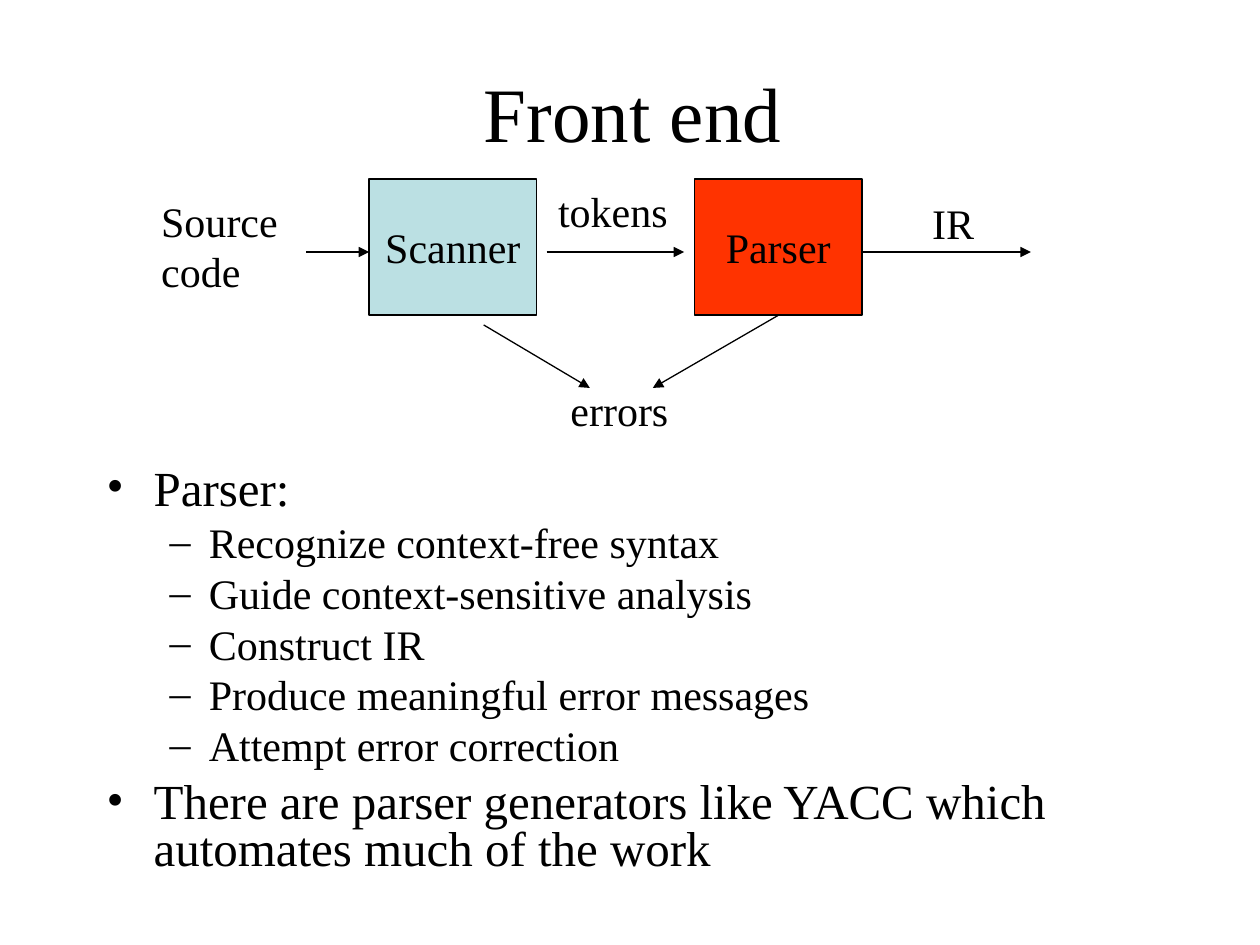
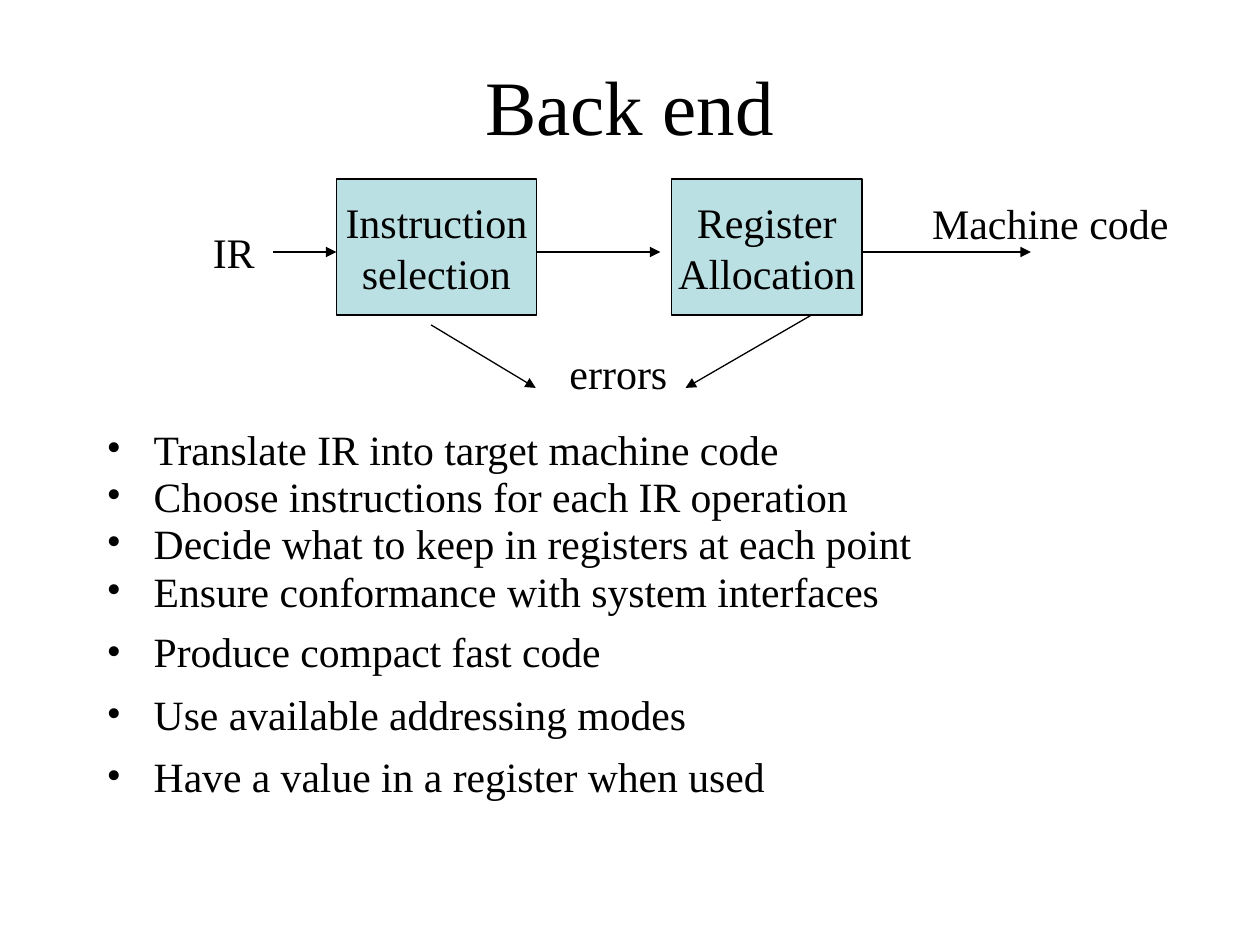
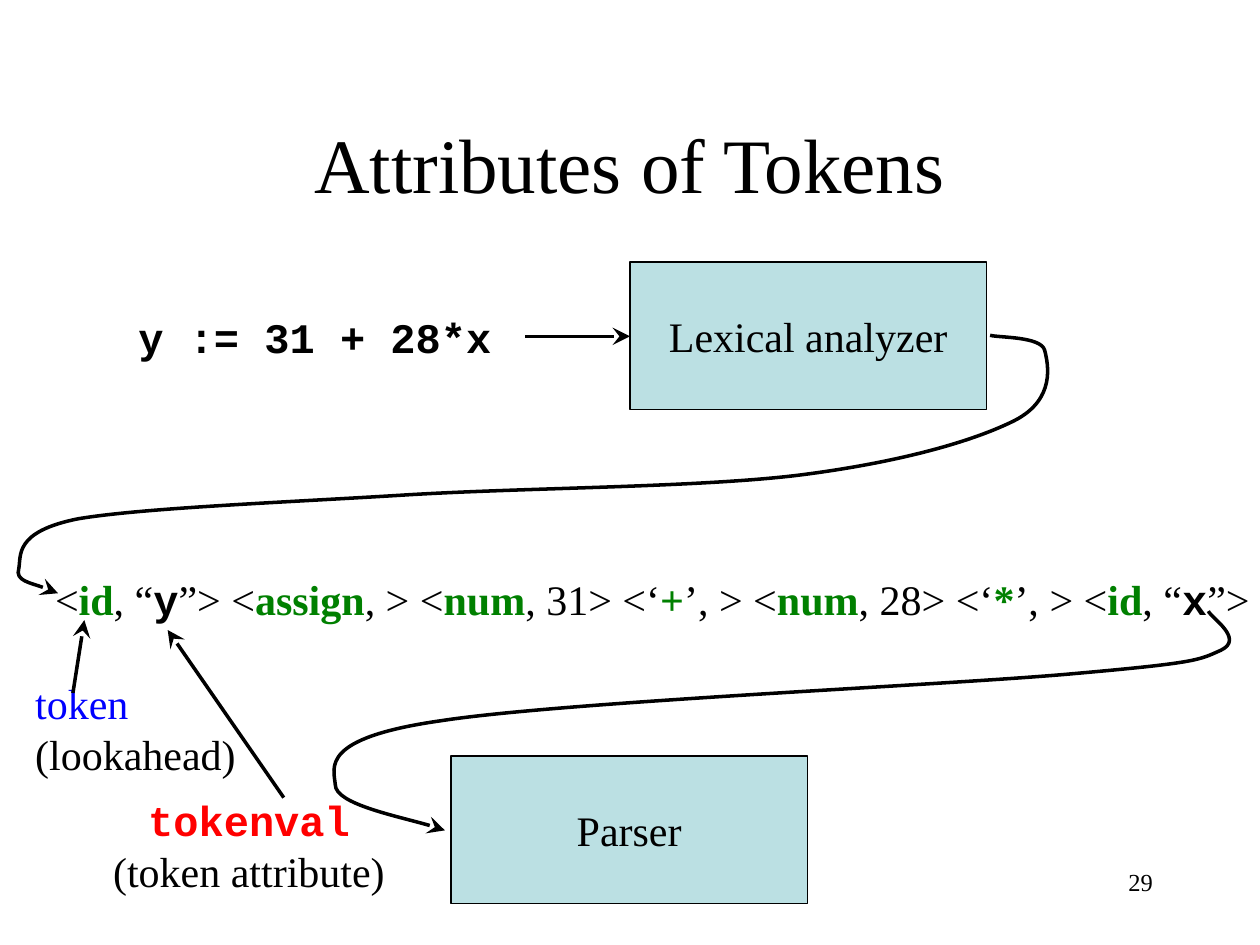
from dataclasses import dataclass

from lxml import etree
from pptx import Presentation
from pptx import util as u
from pptx.dml.color import RGBColor
from pptx.enum import shapes, text
from pptx.oxml.ns import qn

Cm, Pt = u.Cm, u.Pt


@dataclass(frozen=True)
class Theme:
    serif: str = "Times New Roman"
    mono: str = "Courier New"
    ink: str = "000000"
    stage: str = "BBE0E3"
    stage_hot: str = "FF3300"
    token: str = "008000"
    lookahead: str = "0000FF"
    tokenval: str = "FF0000"
    title_size: float = 44
    heading_size: float = 28
    label_size: float = 24
    list_size: float = 23.8
    number_size: float = 14
    thin: float = 0.75
    thick: float = 2


THEME = Theme()

# Shared rows of the two pipeline slides, in centimetres
STAGE_TOP, STAGE_HEIGHT = 3.61, 2.74
STAGE_BOTTOM = STAGE_TOP + STAGE_HEIGHT
FLOW_Y = 5.08
ERROR_START_Y, ERROR_END_Y = 6.55, 7.82
OUTPUT_LEFT, OUTPUT_TOP = 18.54, 3.86
STAGES_RIGHT, FLOW_END = 17.37, 20.78
LINE_HEIGHT, TWO_LINES = 1.27, 2.29
IR_WIDTH, ERRORS_WIDTH = 1.5, 2.6


# Text
def style_span(span, size=THEME.label_size, font=THEME.serif, color=THEME.ink, bold=False):
    span.font.size = Pt(size)
    span.font.name = font
    span.font.bold = bold
    span.font.color.rgb = RGBColor.from_string(color)


def fill_text(frame, words, align=text.PP_ALIGN.LEFT, **style):
    frame.text = words
    for para in frame.paragraphs:
        para.alignment = align
        for span in para.runs:
            style_span(span, **style)


def add_label(page, words, left, top, width, height=LINE_HEIGHT, **style):
    box = page.shapes.add_textbox(Cm(left), Cm(top), Cm(width), Cm(height))
    box.text_frame.word_wrap = False
    box.text_frame.auto_size = text.MSO_AUTO_SIZE.SHAPE_TO_FIT_TEXT
    fill_text(box.text_frame, words, **style)
    return box


def add_title(page, words, top, left=1.9):
    box = page.shapes.add_textbox(Cm(left), Cm(top), Cm(21.59), Cm(3.18))
    box.text_frame.word_wrap = True
    box.text_frame.vertical_anchor = text.MSO_ANCHOR.MIDDLE
    fill_text(box.text_frame, words, text.PP_ALIGN.CENTER, size=THEME.title_size)


def add_page_number(page, number):
    box = page.shapes.add_textbox(Cm(18.21), Cm(17.35), Cm(5.28), Cm(LINE_HEIGHT))
    box.text_frame.word_wrap = True
    fill_text(box.text_frame, number, text.PP_ALIGN.RIGHT, size=THEME.number_size)


def set_bullet(para, mark, margin, hanging):
    props = para._p.get_or_add_pPr()
    props.set("marL", str(Cm(margin)))
    props.set("indent", str(-Cm(hanging)))
    color = etree.SubElement(props, qn("a:buClr"))
    etree.SubElement(color, qn("a:srgbClr"), val=THEME.ink)
    etree.SubElement(props, qn("a:buFont"), typeface=THEME.serif)
    etree.SubElement(props, qn("a:buChar"), char=mark)


def add_bullets(page, items, top, width, height):
    """Each item is (level, size, line spacing, words)."""
    box = page.shapes.add_textbox(Cm(1.9), Cm(top), Cm(width), Cm(height))
    frame = box.text_frame
    frame.word_wrap = True
    frame.text = "\n".join(words for *_, words in items)
    for para, (level, size, spacing, _) in zip(frame.paragraphs, items):
        para.level = level
        para.line_spacing = spacing
        para.space_before = Pt(6 if level else 7)
        if level:
            set_bullet(para, "–", 2.06, 0.79)
        else:
            set_bullet(para, "•", 0.95, 0.95)
        style_span(para.runs[0], size=size)


# Boxes, arrows and curves
def add_stage(page, words, left, width, top=STAGE_TOP, height=STAGE_HEIGHT, fill=THEME.stage):
    box = page.shapes.add_shape(
        shapes.MSO_SHAPE.RECTANGLE, Cm(left), Cm(top), Cm(width), Cm(height))
    box.shadow.inherit = False
    box.fill.solid()
    box.fill.fore_color.rgb = RGBColor.from_string(fill)
    set_line(box, THEME.thin)
    box.text_frame.word_wrap = False
    box.text_frame.vertical_anchor = text.MSO_ANCHOR.MIDDLE
    fill_text(box.text_frame, words, text.PP_ALIGN.CENTER)


def set_line(shape, weight, head=None, head_size="med"):
    shape.line.width = Pt(weight)
    shape.line.color.rgb = RGBColor.from_string(THEME.ink)
    if head:
        outline = shape.element.spPr.find(qn("a:ln"))
        etree.SubElement(outline, qn("a:tailEnd"), type=head, w=head_size, len=head_size)


def add_arrow(page, start, end, weight=THEME.thin, head="triangle", head_size="med"):
    arrow = page.shapes.add_connector(
        shapes.MSO_CONNECTOR.STRAIGHT, *(Cm(value) for value in (*start, *end)))
    set_line(arrow, weight, head, head_size)
    etree.SubElement(arrow.element.spPr, qn("a:effectLst"))


def add_flow(page, start_x, end_x):
    add_arrow(page, (start_x, FLOW_Y), (end_x, FLOW_Y))


def add_curved_arrow(page, start, points):
    """Draw cubic curves; every three points are two controls and an end."""
    builder = page.shapes.build_freeform(Cm(start[0]), Cm(start[1]))
    builder.add_line_segments([(Cm(x), Cm(y)) for x, y in points], close=False)
    curve = builder.convert_to_shape()
    segments = curve.element.xpath(".//a:lnTo")
    for first in range(0, len(segments), 3):
        bezier = etree.Element(qn("a:cubicBezTo"))
        segments[first].addprevious(bezier)
        for segment in segments[first:first + 3]:
            bezier.append(segment[0])
            segment.getparent().remove(segment)
    curve.shadow.inherit = False
    curve.fill.background()
    set_line(curve, THEME.thick, "stealth", "lg")


# Slides
def build_front_end(page):
    add_title(page, "Front end", 0.66, left=1.96)
    duties = ["Recognize context-free syntax", "Guide context-sensitive analysis",
              "Construct IR", "Produce meaningful error messages",
              "Attempt error correction"]
    generators = "There are parser generators like YACC which automates much of the work"
    add_bullets(page, [
        (0, THEME.heading_size, 0.8, "Parser:"),
        *((1, THEME.label_size, 0.8, duty) for duty in duties),
        (0, THEME.heading_size, 0.8, generators),
    ], 9.32, 21.59, 9.09)

    add_stage(page, "Scanner", 7.44, 3.38)
    add_stage(page, "Parser", 14, 3.38, fill=THEME.stage_hot)
    for start_x, end_x in [(6.17, 7.44), (11.02, 13.79), (STAGES_RIGHT, FLOW_END)]:
        add_flow(page, start_x, end_x)
    add_arrow(page, (9.75, ERROR_START_Y), (11.89, ERROR_END_Y))
    add_arrow(page, (15.7, STAGE_BOTTOM), (13.16, ERROR_END_Y))

    add_label(page, "Source\ncode", 3, 3.81, 3, TWO_LINES)
    add_label(page, "tokens", 11, 3.61, 2.9)
    add_label(page, "IR", OUTPUT_LEFT, OUTPUT_TOP, IR_WIDTH)
    add_label(page, "errors", 11.25, 7.62, ERRORS_WIDTH)


def build_back_end(page):
    add_title(page, "Back end", 0.53)
    tight = ["Translate IR into target machine code",
             "Choose instructions for each IR operation",
             "Decide what to keep in registers at each point",
             "Ensure conformance with system interfaces"]
    loose = ["Produce compact fast code", "Use available addressing modes",
             "Have a value in a register when used"]
    add_bullets(page, [
        *((0, THEME.list_size, 0.7, words) for words in tight),
        *((0, THEME.list_size, 1.0, words) for words in loose),
    ], 8.69, 23.06, 7.62)

    add_stage(page, "Instruction\nselection", 6.78, 4.04)
    add_stage(page, "Register\nAllocation", 13.54, 3.84)
    for start_x, end_x in [(5.51, 6.78), (10.8, 13.31), (STAGES_RIGHT, FLOW_END)]:
        add_flow(page, start_x, end_x)
    add_arrow(page, (8.69, ERROR_START_Y), (10.8, ERROR_END_Y))
    add_arrow(page, (16.36, STAGE_BOTTOM), (13.82, ERROR_END_Y))

    add_label(page, "IR", 4.04, 4.45, IR_WIDTH)
    add_label(page, "Machine code", OUTPUT_LEFT, OUTPUT_TOP, 5.4)
    add_label(page, "errors", 11.23, 6.88, ERRORS_WIDTH)


def add_token_stream(page):
    plain = {}
    token = {"color": THEME.token, "bold": True}
    lexeme = {"font": THEME.mono, "bold": True}
    box = add_label(page, "<", 0.86, 11.43, 24.7)
    para = box.text_frame.paragraphs[0]
    for words, style in [
        ("id", token), (", “", plain), ("y", lexeme), ("”> <", plain),
        ("assign", token), (", > <", plain),
        ("num", token), (", 31> <‘", plain),
        ("+", token), ("’, > <", plain),
        ("num", token), (", 28> <‘", plain),
        ("*", token), ("’, > <", plain),
        ("id", token), (", “", plain), ("x", lexeme), ("”>", plain),
    ]:
        span = para.add_run()
        span.text = words
        style_span(span, **style)


def build_token_attributes(page):
    add_page_number(page, "29")
    add_title(page, "Attributes of Tokens", 1.7)
    add_stage(page, "Lexical analyzer", 12.7, 7.19, top=5.28, height=2.97)
    add_label(page, "y := 31 + 28*x", 2.54, 6.15, 7.75, font=THEME.mono, bold=True)
    add_stage(page, "Parser", 9.09, 7.19, top=15.24, height=2.97)

    # Analyzer to token stream, then token stream to parser
    add_curved_arrow(page, (19.96, 6.76), [
        (20.14, 6.81), (20.98, 6.78), (21.06, 7.06),
        (21.13, 7.34), (21.29, 8.05), (20.45, 8.48),
        (19.63, 8.89), (18.16, 9.32), (16.1, 9.58),
        (14.05, 9.83), (10.57, 9.83), (8.15, 9.98),
        (5.72, 10.13), (2.87, 10.24), (1.57, 10.46),
        (0.28, 10.72), (0.43, 11.2), (0.38, 11.46),
        (0.3, 11.71), (0.99, 11.86), (1.17, 11.96),
    ])
    add_curved_arrow(page, (24.36, 12.32), [
        (24.41, 12.45), (25.1, 12.88), (24.61, 13.11),
        (24.16, 13.31), (24.16, 13.36), (21.54, 13.59),
        (18.92, 13.82), (11.35, 14.15), (8.89, 14.53),
        (6.43, 14.88), (6.73, 15.47), (6.76, 15.82),
        (6.76, 16.21), (8.51, 16.56), (8.97, 16.74),
    ])
    add_token_stream(page)

    # Captions for the two halves of a token
    lookahead = add_label(page, "token\v(lookahead)", 0.46, 13.54, 4.7, TWO_LINES)
    style_span(lookahead.text_frame.paragraphs[0].runs[0], color=THEME.lookahead)
    attribute = add_label(page, "tokenval\v(token attribute)", 1.92, 15.9, 6.2, TWO_LINES,
                          align=text.PP_ALIGN.CENTER)
    style_span(attribute.text_frame.paragraphs[0].runs[0],
               font=THEME.mono, color=THEME.tokenval, bold=True)

    for start, end in [((10.59, 6.78), (12.7, 6.78)),
                       ((1.47, 13.97), (1.7, 12.5)),
                       ((5.72, 16.08), (3.38, 12.7))]:
        add_arrow(page, start, end, THEME.thick, "stealth", "lg")


def main():
    deck = Presentation()
    deck.slide_width, deck.slide_height = Cm(25.4), Cm(19.05)
    blank = deck.slide_layouts[6]
    for build in (build_front_end, build_back_end, build_token_attributes):
        build(deck.slides.add_slide(blank))
    deck.save("out.pptx")


if __name__ == "__main__":
    main()
